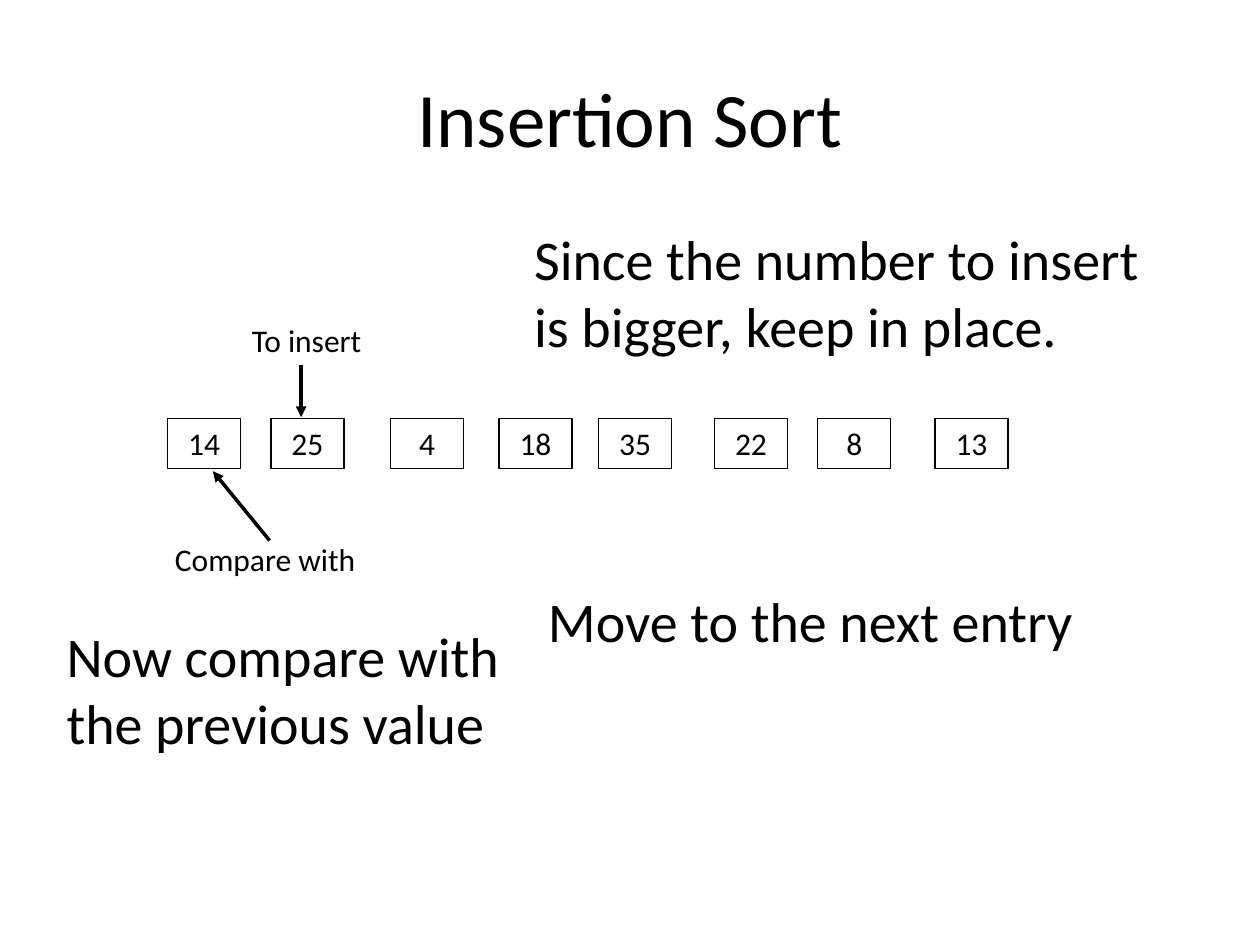
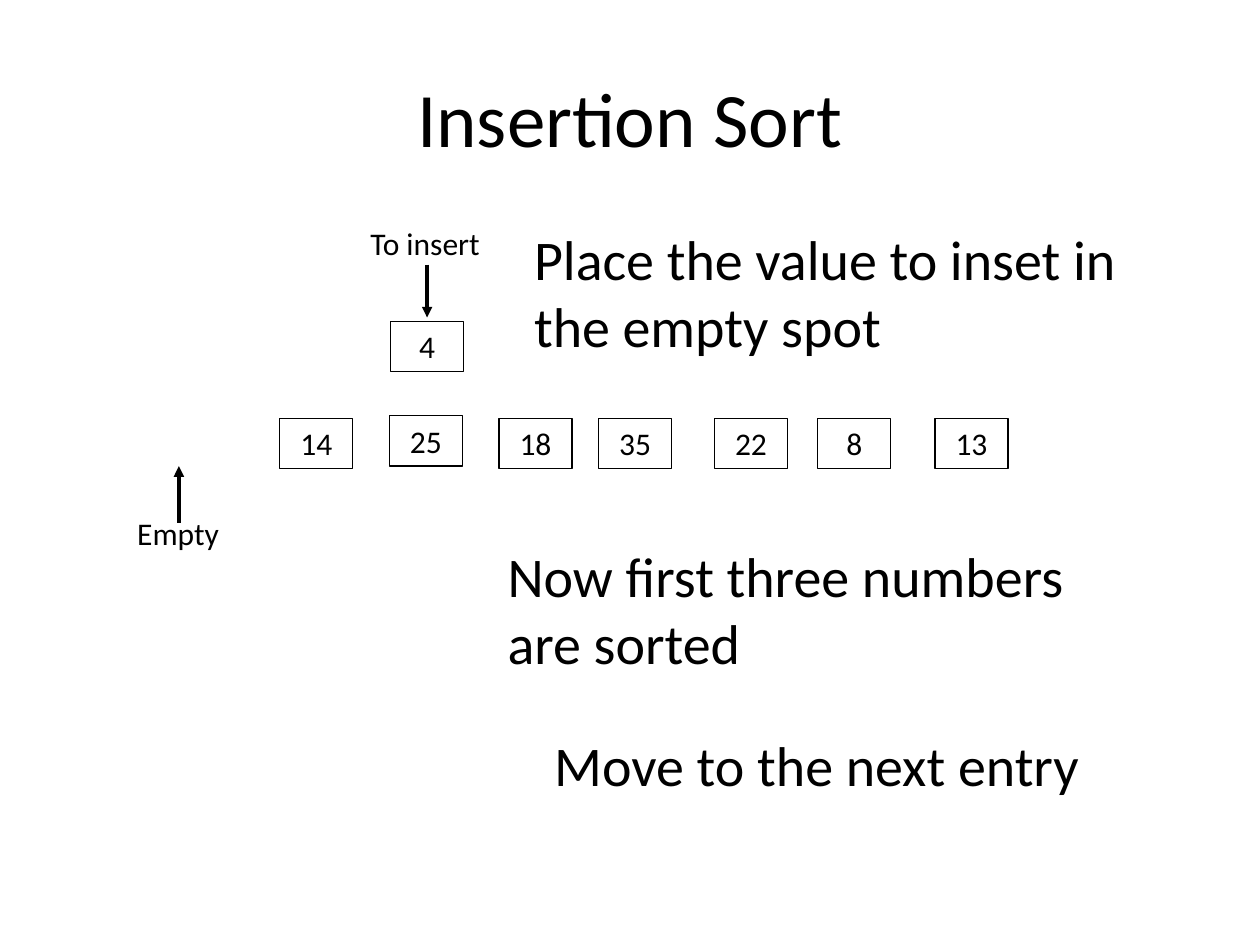
from dataclasses import dataclass

import pptx
import pptx.dml.color
import pptx.enum.shapes
import pptx.enum.text
import pptx.oxml
import pptx.oxml.ns
import pptx.slide
import pptx.util

COLS, ROWS = 100, 75
WIDE, HIGH = pptx.util.Inches(10), pptx.util.Inches(7.5)


@dataclass(frozen=True)
class Theme:
    ink: pptx.dml.color.RGBColor = pptx.dml.color.RGBColor(0, 0, 0)
    font: str = "Calibri"
    title: int = 44
    body: int = 32
    label: int = 18
    edge: float = 0.75
    arrow: float = 2


@dataclass(frozen=True)
class Cell:
    value: int
    col: float
    row: float = 33.2


@dataclass(frozen=True)
class Note:
    words: str
    col: float
    row: float
    cols: float
    rows: float = 6.4
    size: int = Theme.body


@dataclass(frozen=True)
class Arrow:
    start: tuple[float, float]
    end: tuple[float, float]


@dataclass(frozen=True)
class Step:
    cells: list[Cell]
    notes: list[Note]
    arrows: list[Arrow]


THEME = Theme()
TITLE = "Insertion Sort"
SLOTS = (13.3, 21.5, 31, 39.6, 47.5, 56.7, 64.9, 74.2)
VALUES = (14, 25, 4, 18, 35, 22, 8, 13)
ROW = [Cell(value, col) for value, col in zip(VALUES, SLOTS)]
CELL = (5.8, 4)
TWO = 11.8


def across(cols: float) -> int:
    return round(WIDE * cols / COLS)


def down(rows: float) -> int:
    return round(HIGH * rows / ROWS)


def label(words: str, col: float, row: float, cols: float) -> Note:
    return Note(words, col, row, cols, 4, THEME.label)


def advice(words: str) -> Note:
    return Note(words, 41.4, 17.3, 50.8, TWO)


def write(shape, words: str, size: int, align=pptx.enum.text.PP_ALIGN.LEFT,
          anchor=pptx.enum.text.MSO_ANCHOR.TOP) -> None:
    frame = shape.text_frame
    frame.text = words
    frame.word_wrap = True
    frame.vertical_anchor = anchor
    line = frame.paragraphs[0]
    line.alignment = align
    font = line.runs[0].font
    font.name = THEME.font
    font.size = pptx.util.Pt(size)
    font.color.rgb = THEME.ink


def draw_title(slide: pptx.slide.Slide) -> None:
    box = slide.shapes.add_textbox(across(5), down(3), across(90), down(12.5))
    write(box, TITLE, THEME.title, pptx.enum.text.PP_ALIGN.CENTER,
          pptx.enum.text.MSO_ANCHOR.MIDDLE)


def draw_cell(slide: pptx.slide.Slide, cell: Cell) -> None:
    box = slide.shapes.add_shape(
        pptx.enum.shapes.MSO_SHAPE.RECTANGLE, across(cell.col), down(cell.row),
        across(CELL[0]), down(CELL[1]))
    box.shadow.inherit = False
    box.fill.background()
    box.line.color.rgb = THEME.ink
    box.line.width = pptx.util.Pt(THEME.edge)
    write(box, str(cell.value), THEME.label, pptx.enum.text.PP_ALIGN.CENTER)


def draw_note(slide: pptx.slide.Slide, note: Note) -> None:
    box = slide.shapes.add_textbox(across(note.col), down(note.row),
                                   across(note.cols), down(note.rows))
    write(box, note.words, note.size)


def draw_arrow(slide: pptx.slide.Slide, arrow: Arrow) -> None:
    link = slide.shapes.add_connector(
        pptx.enum.shapes.MSO_CONNECTOR.STRAIGHT,
        across(arrow.start[0]), down(arrow.start[1]),
        across(arrow.end[0]), down(arrow.end[1]))
    link.line.color.rgb = THEME.ink
    link.line.width = pptx.util.Pt(THEME.arrow)
    props = link._element.spPr
    tip = pptx.oxml.ns.qn("a:tailEnd")
    link.line._get_or_add_ln().append(
        link._element.makeelement(tip, {"type": "triangle"}))
    props.append(props.makeelement(pptx.oxml.ns.qn("a:effectLst"), {}))


def draw_step(deck, step: Step) -> None:
    slide = deck.slides.add_slide(deck.slide_layouts[6])
    draw_title(slide)
    for cell in step.cells:
        draw_cell(slide, cell)
    for note in step.notes:
        draw_note(slide, note)
    for arrow in step.arrows:
        draw_arrow(slide, arrow)


STEPS = [
    Step(
        cells=ROW,
        notes=[
            label("To insert", 19, 25, 10.9),
            label("Compare with", 12.9, 42.4, 17),
            advice("Since the number to insert is bigger, keep in place."),
            Note("Move to the next entry", 42.5, 46.1, 47.5),
            Note("Now compare with the previous value", 4.3, 48.8, 36.8, TWO),
        ],
        arrows=[
            Arrow((23.9, 29), (23.9, 33.1)),
            Arrow((21.4, 42.9), (16.9, 37.4)),
        ],
    ),
    Step(
        cells=[Cell(14, 22.2), Cell(25, 30.9, 33), *ROW[3:],
               Cell(4, SLOTS[2], 25.5)],
        notes=[
            label("To insert", 28.4, 17.3, 10.9),
            advice("Place the value to inset in the empty spot"),
            Note("Move to the next entry", 43, 57.5, 47.5),
            Note("Now first three numbers are sorted", 39.3, 42.5, 49, TWO),
            label("Empty", 9.9, 40.3, 9.9),
        ],
        arrows=[
            Arrow((33.9, 21), (33.9, 25.2)),
            Arrow((14.2, 41.5), (14.2, 37)),
        ],
    ),
]


def main() -> None:
    deck = pptx.Presentation()
    deck.slide_width, deck.slide_height = WIDE, HIGH
    for step in STEPS:
        draw_step(deck, step)
    deck.save("out.pptx")


if __name__ == "__main__":
    main()
